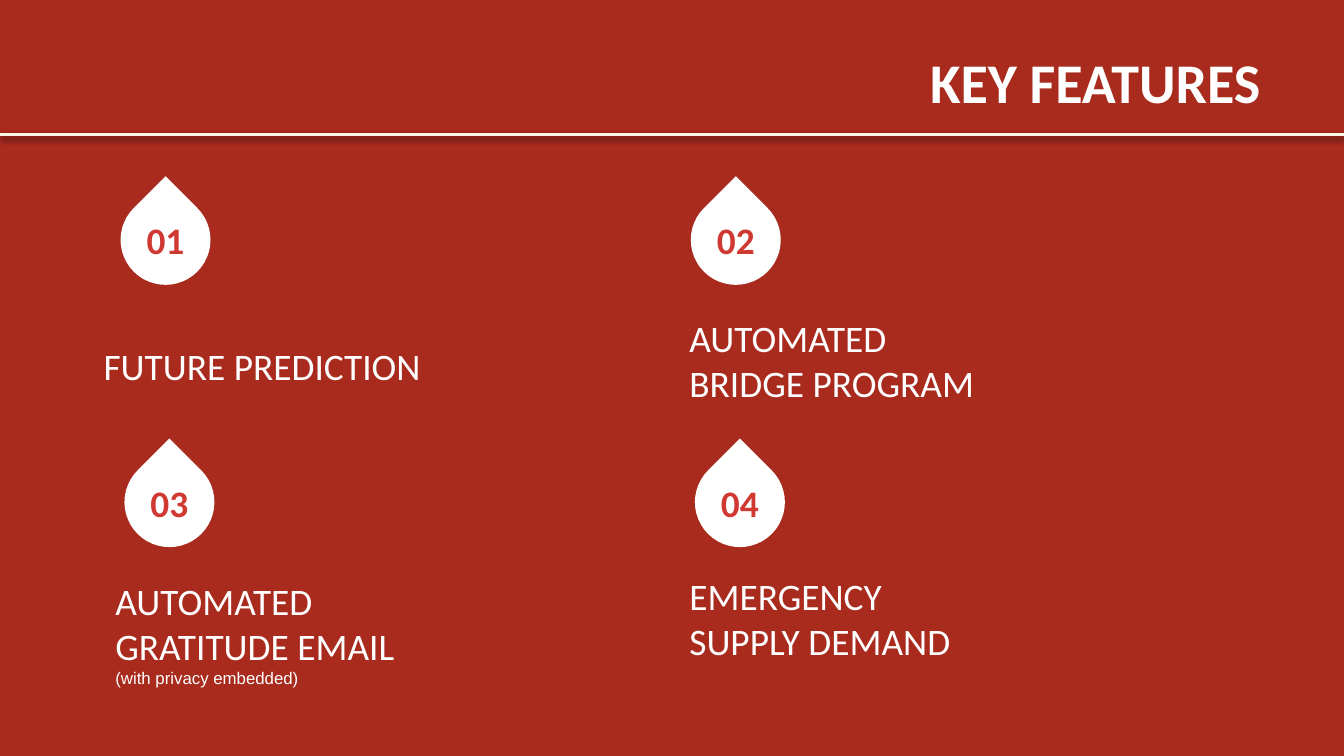
"""Build the Key Features slide: four numbered drops with captions."""
from dataclasses import dataclass

from lxml.etree import SubElement
from pptx import Presentation
from pptx.dml.color import RGBColor
from pptx.enum.shapes import MSO_CONNECTOR, MSO_SHAPE
from pptx.enum.text import MSO_ANCHOR, MSO_AUTO_SIZE, PP_ALIGN
from pptx.oxml.ns import qn
from pptx.slide import Slide
from pptx.text.text import Font, TextFrame
from pptx.util import Pt

COLORS = {
    "background": "A82B1E",
    "white": "FFFFFF",
    "number": "D03932",
    "rule": "FAF5E6",
    "shadow": "000000",
}
SLIDE_WIDTH, SLIDE_HEIGHT = 720, 405
DROP_SIZE = 48.2
NUMBER_WIDTH, NUMBER_HEIGHT = 50.4, 46.8
CAPTION_WIDTH, CAPTION_HEIGHT = 300, 41.8
INSET = 7.2


@dataclass(frozen=True)
class Feature:
    number: str
    drop_center: tuple[float, float]
    caption_corner: tuple[float, float]
    caption: str
    note: str = ""


FEATURES = [
    Feature("01", (88.7, 128.5), (48.4, 175), "FUTURE PREDICTION"),
    Feature("02", (394.2, 128.5), (362.2, 172), "AUTOMATED\vBRIDGE PROGRAM"),
    Feature("03", (90.8, 269), (54.7, 318.2), "AUTOMATED\vGRATITUDE EMAIL\v",
            "(with privacy embedded)"),
    Feature("04", (396.4, 269), (362.2, 310.3), "EMERGENCY\vSUPPLY DEMAND"),
]


def color(name: str) -> RGBColor:
    """Look up a palette color."""
    return RGBColor.from_string(COLORS[name])


def style_font(font: Font, size: float, color_name: str, bold: bool = False,
               name: str = "Calibri") -> None:
    """Apply typeface, size, weight and color."""
    font.name, font.size, font.bold = name, Pt(size), bold
    font.color.rgb = color(color_name)


def prepare_frame(frame: TextFrame) -> None:
    """Give a text frame even insets and middle anchoring."""
    frame.word_wrap = True
    frame.auto_size = MSO_AUTO_SIZE.NONE
    frame.vertical_anchor = MSO_ANCHOR.MIDDLE
    frame.margin_left = frame.margin_right = Pt(INSET)
    frame.margin_top = frame.margin_bottom = Pt(INSET)


def add_title(slide: Slide, text: str) -> None:
    """Place the right-aligned slide title."""
    title = slide.shapes.title
    title.left, title.top, title.width, title.height = Pt(75.6), Pt(21), Pt(607), Pt(45.4)
    prepare_frame(title.text_frame)
    title.text_frame.text = text
    paragraph = title.text_frame.paragraphs[0]
    paragraph.alignment = PP_ALIGN.RIGHT
    style_font(paragraph.font, 30, "white", bold=True)


def add_rule(slide: Slide) -> None:
    """Draw the full-width line with a soft shadow beneath it."""
    rule = slide.shapes.add_connector(
        MSO_CONNECTOR.STRAIGHT, Pt(0), Pt(72), Pt(SLIDE_WIDTH), Pt(72))
    rule.line.color.rgb = color("rule")
    rule.line.width = Pt(2)
    effects = SubElement(rule._element.spPr, qn("a:effectLst"))
    shadow = SubElement(effects, qn("a:outerShdw"), blurRad=str(Pt(3.1)),
                        dist=str(Pt(1.6)), dir="5400000", rotWithShape="0")
    shade = SubElement(shadow, qn("a:srgbClr"), val=COLORS["shadow"])
    SubElement(shade, qn("a:alpha"), val="38000")


def add_drop(slide: Slide, feature: Feature) -> None:
    """Draw an upright drop with its number centered on it."""
    x, y = feature.drop_center
    drop = slide.shapes.add_shape(
        MSO_SHAPE.TEAR, Pt(x - DROP_SIZE / 2), Pt(y - DROP_SIZE / 2),
        Pt(DROP_SIZE), Pt(DROP_SIZE))
    drop.rotation = 315
    drop.shadow.inherit = False
    drop.fill.solid()
    drop.fill.fore_color.rgb = color("white")
    drop.line.fill.background()

    number = slide.shapes.add_textbox(
        Pt(x - NUMBER_WIDTH / 2), Pt(y - NUMBER_HEIGHT / 2),
        Pt(NUMBER_WIDTH), Pt(NUMBER_HEIGHT))
    prepare_frame(number.text_frame)
    paragraph = number.text_frame.paragraphs[0]
    paragraph.text = feature.number
    paragraph.alignment = PP_ALIGN.CENTER
    style_font(paragraph.font, 20, "number", bold=True)


def add_caption(slide: Slide, feature: Feature) -> None:
    """Write a feature's caption and its optional small note."""
    left, top = feature.caption_corner
    box = slide.shapes.add_textbox(
        Pt(left), Pt(top), Pt(CAPTION_WIDTH), Pt(CAPTION_HEIGHT))
    prepare_frame(box.text_frame)
    paragraph = box.text_frame.paragraphs[0]
    paragraph.text = feature.caption
    style_font(paragraph.font, 20, "white")
    if feature.note:
        note = paragraph.add_run()
        note.text = feature.note
        style_font(note.font, 9, "white", name="Arial")


def main() -> None:
    """Assemble and save the presentation."""
    presentation = Presentation()
    presentation.slide_width, presentation.slide_height = Pt(SLIDE_WIDTH), Pt(SLIDE_HEIGHT)
    slide = presentation.slides.add_slide(
        presentation.slide_layouts.get_by_name("Title Only"))
    slide.background.fill.solid()
    slide.background.fill.fore_color.rgb = color("background")
    add_title(slide, "KEY FEATURES")
    add_rule(slide)
    for feature in FEATURES:
        add_drop(slide, feature)
        add_caption(slide, feature)
    presentation.save("out.pptx")


if __name__ == "__main__":
    main()
